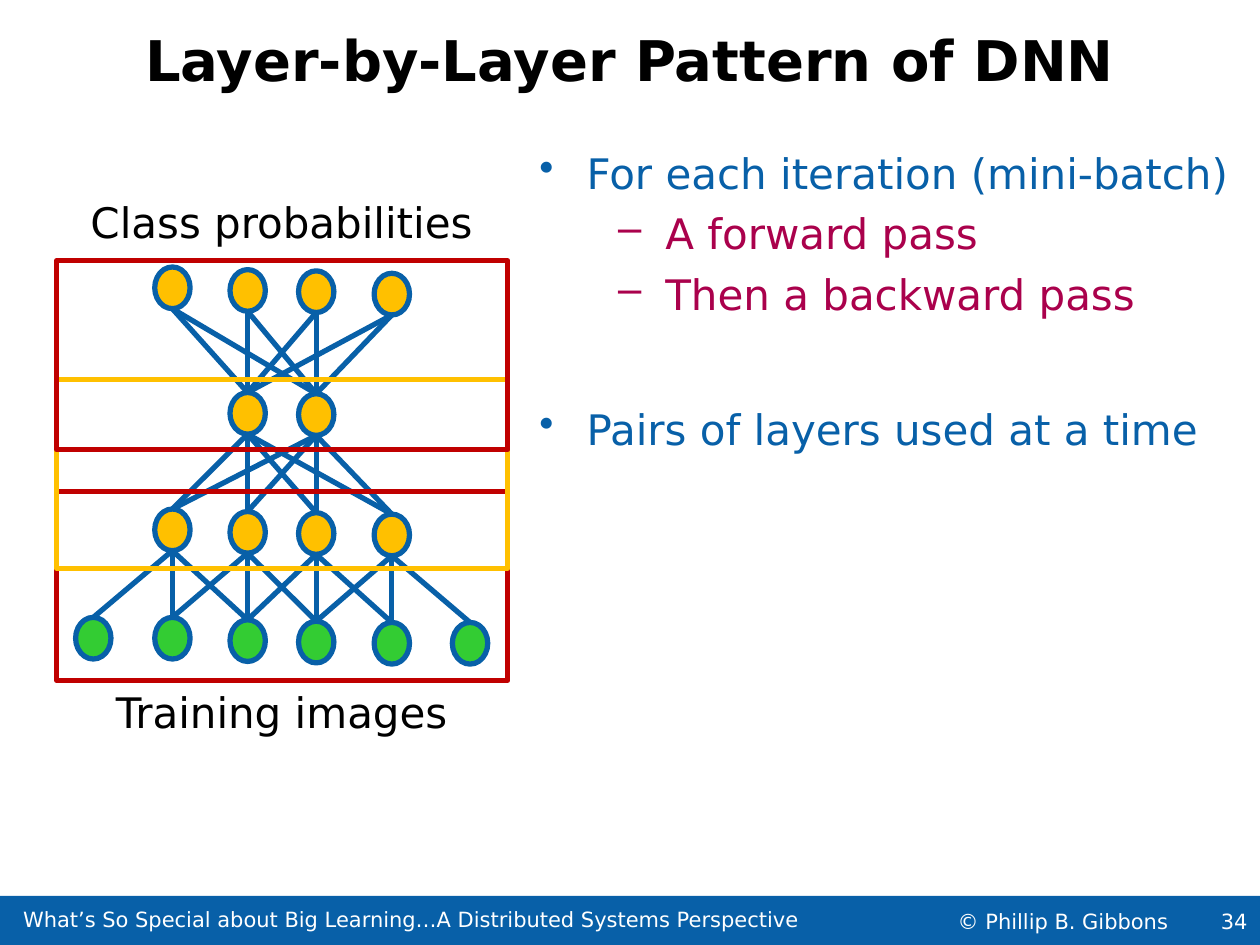
"""Build the slide on the layer-by-layer pattern of a deep neural network."""
from itertools import product
from lxml.etree import SubElement
from pptx import Presentation
from pptx.dml.color import RGBColor
from pptx.enum.shapes import MSO_CONNECTOR, MSO_SHAPE
from pptx.enum.text import MSO_ANCHOR, PP_ALIGN
from pptx.oxml.ns import qn
from pptx.util import Pt

HEX = {"blue": "0860A8", "plum": "AA014C", "green": "33CC33", "gold": "FFC000",
       "red": "C00000", "black": "000000", "white": "FFFFFF"}
RGB = {name: RGBColor.from_string(code) for name, code in HEX.items()}
BARE = {f"margin_{side}": 0 for side in ("left", "top", "right", "bottom")}


def write(par, text, size, color, align=PP_ALIGN.LEFT, bold=False):
    par.text = text
    par.alignment = align
    look = {"name": "DejaVu Sans", "size": Pt(size), "bold": bold}
    for key, value in look.items():
        setattr(par.runs[0].font, key, value)
    par.runs[0].font.color.rgb = RGB[color]


def draw(kind, x, y, w, h, fill=None, line=None):
    shape = slide.shapes.add_shape(kind, Pt(x), Pt(y), Pt(w), Pt(h))
    shape.shadow.inherit = False
    for part, color in ((shape.fill, fill), (shape.line.fill, line)):
        if color:
            part.solid()
            part.fore_color.rgb = RGB[color]
        else:
            part.background()
    if line:
        shape.line.width = Pt(3)
    return shape


deck = Presentation()
deck.slide_width, deck.slide_height = Pt(720), Pt(540)
slide = deck.slides.add_slide(deck.slide_layouts[5])

title = slide.shapes.title
place = {"left": 0, "top": Pt(14.4), "width": Pt(720), "height": Pt(70)}
for key, value in place.items():
    setattr(title, key, value)
for key, value in {**BARE, "vertical_anchor": MSO_ANCHOR.TOP}.items():
    setattr(title.text_frame, key, value)
write(title.text_frame.paragraphs[0], "Layer-by-Layer Pattern of DNN", 32,
      "black", PP_ALIGN.CENTER, True)

bar = draw(MSO_SHAPE.RECTANGLE, 0, 512, 720, 28.5, "blue")
bar.text_frame.vertical_anchor = MSO_ANCHOR.MIDDLE
write(bar.text_frame.paragraphs[0], "34", 12, "white", PP_ALIGN.RIGHT)

labels = [
    ("What’s So Special about Big Learning…A Distributed Systems Perspective",
     0, 519, 470, 12.5, 12, "white", {**BARE, "vertical_anchor": MSO_ANCHOR.MIDDLE}),
    ("© Phillip B. Gibbons", 495.5, 516.5, 224, 20, 12, "white",
     {**BARE, "vertical_anchor": MSO_ANCHOR.MIDDLE}),
    ("Class probabilities", 38, 108.7, 246, 36, 24, "black", {}),
    ("Training images", 38, 388.8, 246, 36, 24, "black", {}),
]
for text, x, y, w, h, size, color, extra in labels:
    box = slide.shapes.add_textbox(Pt(x), Pt(y), Pt(w), Pt(h))
    for key, value in {"word_wrap": True, **extra}.items():
        setattr(box.text_frame, key, value)
    write(box.text_frame.paragraphs[0], text, size, color, PP_ALIGN.CENTER)

body = slide.shapes.add_textbox(Pt(308.2), Pt(84.2), Pt(411.8), Pt(425))
frame = body.text_frame
for key, value in {**BARE, "word_wrap": True}.items():
    setattr(frame, key, value)
points = [
    ("For each iteration (mini-batch)", "blue", "•", 27, 0),
    ("A forward pass", "plum", "–", 72, 5.7),
    ("Then a backward pass", "plum", "–", 72, 5.7),
    ("Pairs of layers used at a time", "blue", "•", 27, 48.6),
]
for spot, (text, color, mark, indent, gap) in enumerate(points):
    par = frame.add_paragraph() if spot else frame.paragraphs[0]
    write(par, text, 24, color)
    par.space_before = Pt(gap)
    props = par._p.get_or_add_pPr()
    props.set("marL", str(Pt(indent)))
    props.set("indent", str(-Pt(27)))
    SubElement(props, qn("a:buChar")).set("char", mark)

wide, tall = 20.2, 23.8
cols = [53.3, 98.5, 141.5, 180.7, 223.9, 268.6]
layers = [
    ("green", cols, [352.8, 352.8, 354.2, 355, 355.7, 355.7]),
    ("gold", cols[1:5], [290.9, 292.3, 293, 293.8]),
    ("gold", cols[2:4], [224.3, 225]),
    ("gold", cols[1:5], [152.6, 154.1, 154.8, 156.2]),
]
for color, mids, tops in layers:
    for mid, top in zip(mids, tops):
        draw(MSO_SHAPE.OVAL, mid - wide / 2, top, wide, tall, color, "blue")

for level, (low, high) in enumerate(zip(layers, layers[1:])):
    ends = product(zip(*low[1:]), zip(*high[1:]))
    for (x1, y1), (x2, y2) in ends:
        if level == 0 and abs(cols.index(x1) - cols.index(x2)) > 1:
            continue
        link = slide.shapes.add_connector(
            MSO_CONNECTOR.STRAIGHT, Pt(x1), Pt(y1), Pt(x2), Pt(y2 + tall))
        link.line.color.rgb = RGB["blue"]
        link.line.width = Pt(3)
        SubElement(link._element.spPr, qn("a:effectLst"))

for top, color in ((280.8, "red"), (216.7, "gold"), (149, "red")):
    draw(MSO_SHAPE.RECTANGLE, 32.4, top, 257.8, 108, line=color)

deck.save("out.pptx")
